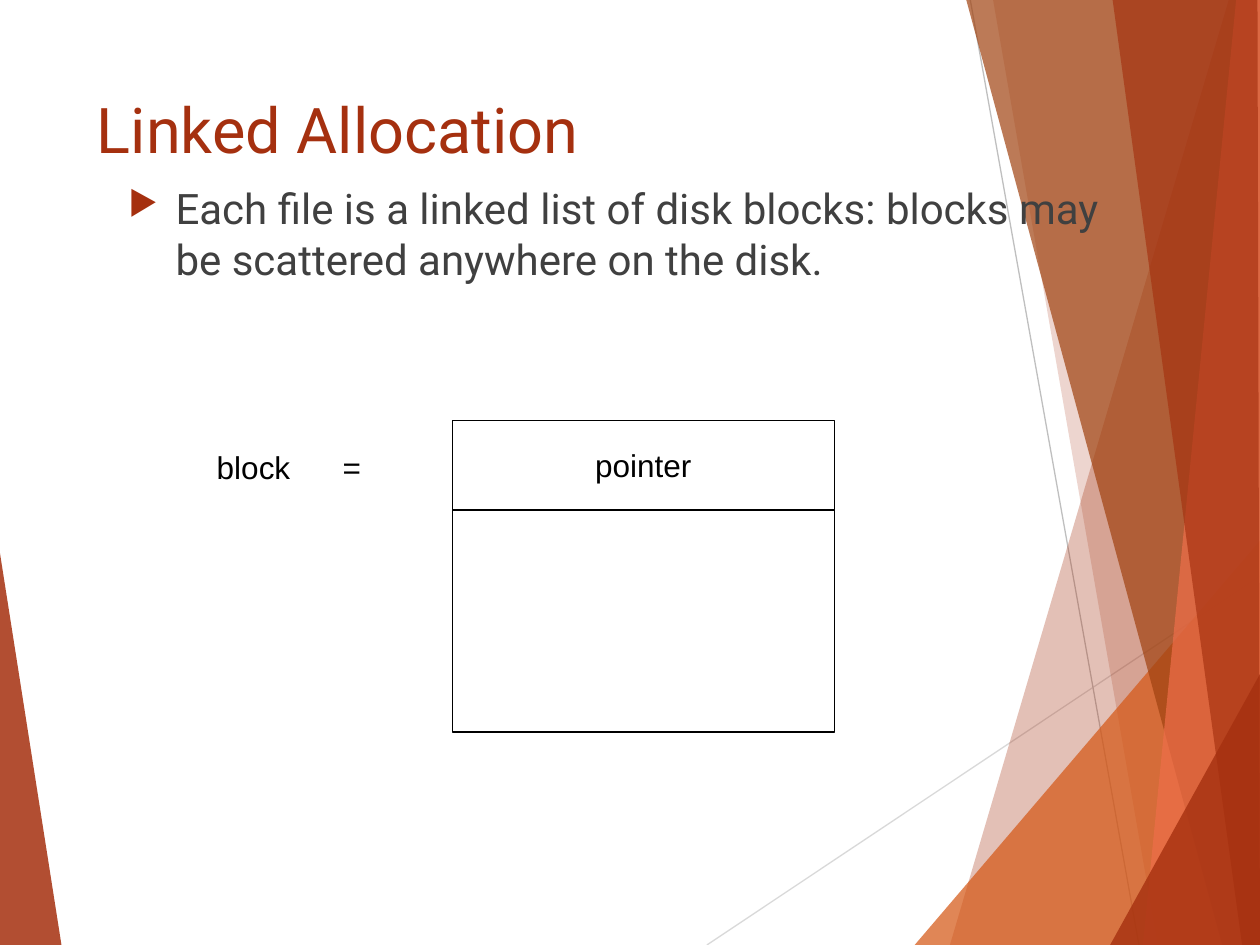
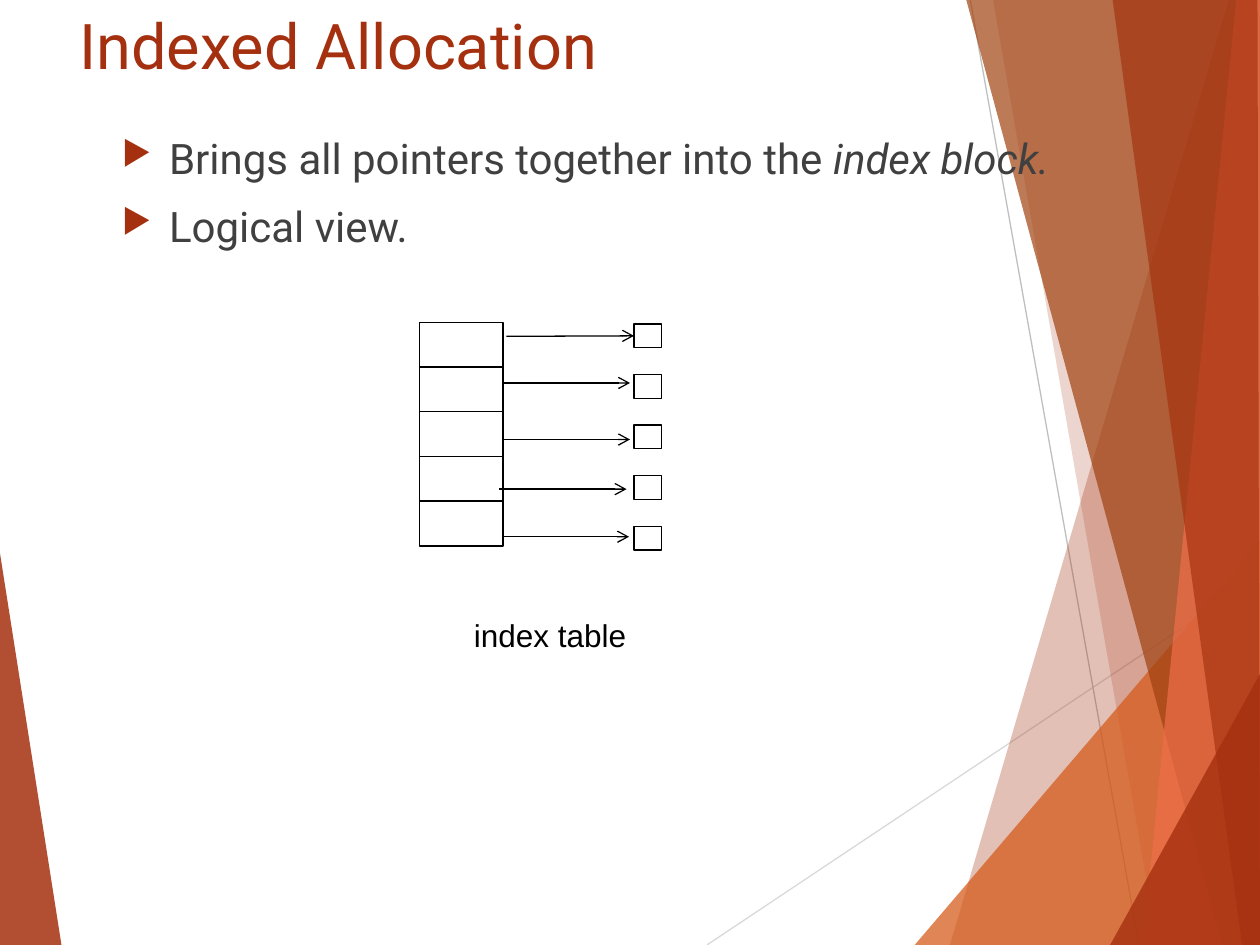
import dataclasses

import lxml.etree
import pptx
import pptx.dml.color
import pptx.enum.shapes
import pptx.enum.text
import pptx.oxml.ns
import pptx.util

Cm = pptx.util.Cm
Pt = pptx.util.Pt
qn = pptx.oxml.ns.qn
PP = pptx.enum.text.PP_ALIGN
ANCHOR = pptx.enum.text.MSO_ANCHOR


@dataclasses.dataclass(frozen=True)
class Theme:
    """Colours, fonts and sizes shared by the slides."""

    accent: str = "A5300F"
    orange: str = "D55816"
    brown: str = "A04210"
    coral: str = "EE6E4A"
    body: str = "404040"
    ink: str = "000000"
    paper: str = "FFFFFF"
    pale_line: str = "D9D9D9"
    grey_line: str = "BFBFBF"
    text_font: str = "Roboto"
    label_font: str = "Arial"
    title_size: int = 36
    body_size: int = 24
    label_size: int = 18
    line_width: float = 0.75


T = Theme()
W, H = 25.4, 19.05
FACETS = [
    (T.accent, 30, [(24.77, 0), (19.15, H), (W, H), (W, 0)]),
    (T.accent, 20, [(20.02, 0), (23.34, H), (W, H), (W, 0)]),
    (T.orange, 72, [(18.44, H), (W, 10.9), (W, H)]),
    (T.brown, 70, [(19.48, 0), (24.64, H), (W, H), (W, 0)]),
    (T.coral, 70, [(24.92, 0), (23.04, H), (W, H), (W, 0)]),
    (T.accent, 65, [(22.43, 0), (25.04, H), (W, H), (25.35, 0)]),
    (T.accent, 80, [(22.38, H), (W, 13.59), (W, H)]),
]


def rgb(value):
    """Return a colour object for a hex value."""
    return pptx.dml.color.RGBColor.from_string(value)


def child(parent, tag, **attrs):
    """Append an XML element with attributes."""
    return lxml.etree.SubElement(parent, qn(tag), attrs)


def add_run(p, text, font, size, color, italic=None):
    """Append one formatted run to a paragraph."""
    r = p.add_run()
    r.text = text
    r.font.name = font
    r.font.size = Pt(size)
    r.font.color.rgb = rgb(color)
    r.font.italic = italic


def add_facet(slide, color, alpha, points):
    """Draw a translucent polygon."""
    pts = [(Cm(x), Cm(y)) for x, y in points]
    fb = slide.shapes.build_freeform(*pts[0])
    fb.add_line_segments(pts[1:], close=True)
    sp = fb.convert_to_shape()
    sp.shadow.inherit = False
    sp.fill.solid()
    sp.fill.fore_color.rgb = rgb(color)
    child(sp.element.spPr.find(".//" + qn("a:srgbClr")), "a:alpha", val=str(alpha * 1000))
    sp.line.fill.background()
    return sp


def add_line(slide, x1, y1, x2, y2, color, arrow=False):
    """Draw a straight line, with an open arrowhead if asked."""
    sp = slide.shapes.add_connector(
        pptx.enum.shapes.MSO_CONNECTOR.STRAIGHT, Cm(x1), Cm(y1), Cm(x2), Cm(y2))
    sp.line.color.rgb = rgb(color)
    sp.line.width = Pt(T.line_width)
    spPr = sp.element.spPr
    if arrow:
        child(spPr.find(qn("a:ln")), "a:tailEnd", type="arrow")
    child(spPr, "a:effectLst")
    return sp


def add_rect(slide, x, y, w, h):
    """Draw a white rectangle with a thin black outline."""
    sp = slide.shapes.add_shape(
        pptx.enum.shapes.MSO_SHAPE.RECTANGLE, Cm(x), Cm(y), Cm(w), Cm(h))
    sp.shadow.inherit = False
    sp.fill.solid()
    sp.fill.fore_color.rgb = rgb(T.paper)
    sp.line.color.rgb = rgb(T.ink)
    sp.line.width = Pt(T.line_width)
    return sp


def write_label(sp, text, align=PP.CENTER):
    """Write a diagram label, centred vertically, and return its paragraph."""
    tf = sp.text_frame
    tf.word_wrap = True
    tf.vertical_anchor = ANCHOR.MIDDLE
    p = tf.paragraphs[0]
    p.alignment = align
    add_run(p, text, T.label_font, T.label_size, T.ink)
    return p


def add_label(slide, x, y, w, h, text, align=PP.CENTER):
    """Add a text box holding a diagram label."""
    sp = slide.shapes.add_textbox(Cm(x), Cm(y), Cm(w), Cm(h))
    return sp, write_label(sp, text, align)


def decorate_layout(slide, layout):
    """Build the faceted backdrop and move it to the shared layout."""
    parts = [
        add_facet(slide, T.accent, 85, [(0, 11.15), (1.24, H), (0, H)]),
        add_line(slide, 14.25, H, W, 11.61, T.pale_line),
        add_line(slide, 19.56, 0, 22.96, H, T.grey_line),
    ]
    parts += [add_facet(slide, *facet) for facet in FACETS]
    for i, sp in enumerate(parts):
        layout.shapes.element.insert(2 + i, sp.element)


def set_title(slide, box, text):
    """Place and format the title placeholder."""
    sp = slide.shapes.title
    sp.left, sp.top, sp.width, sp.height = map(Cm, box)
    tf = sp.text_frame
    tf.word_wrap = True
    tf.auto_size = pptx.enum.text.MSO_AUTO_SIZE.NONE
    tf.vertical_anchor = ANCHOR.TOP
    p = tf.paragraphs[0]
    p.alignment = PP.LEFT
    add_run(p, text, T.text_font, T.title_size, T.accent)


def add_bullets(slide, box, items):
    """Add bulleted paragraphs, each a list of (text, italic) runs."""
    tf = slide.shapes.add_textbox(*map(Cm, box)).text_frame
    tf.word_wrap = True
    for i, runs in enumerate(items):
        p = tf.add_paragraph() if i else tf.paragraphs[0]
        if i:
            p.space_before = Pt(10)
        pPr = p._p.get_or_add_pPr()
        pPr.set("marL", str(Cm(0.95)))
        pPr.set("indent", str(-Cm(0.95)))
        child(child(pPr, "a:buClr"), "a:srgbClr", val=T.accent)
        child(pPr, "a:buSzPct", val="80000")
        child(pPr, "a:buChar", char="▶")
        for text, italic in runs:
            add_run(p, text, T.text_font, T.body_size, T.body, italic)


def block_diagram(slide, x, y, w, h):
    """Draw a disk block with its pointer field and its caption."""
    block_x, block_w, pointer_h = x + 6.45, w - 6.45, 1.8
    write_label(add_rect(slide, block_x, y, block_w, pointer_h), "pointer")
    add_rect(slide, block_x, y + pointer_h, block_w, h - pointer_h)
    sp, p = add_label(slide, x, y + 0.15, 6.32, 1.55, "block\t=", PP.LEFT)
    sp.text_frame.margin_left = Cm(1.7)
    tabs = child(p._p.get_or_add_pPr(), "a:tabLst")
    child(tabs, "a:tab", pos=str(Cm(2.54)), algn="l")


def index_diagram(slide, x, y):
    """Draw the index table with arrows to its data blocks."""
    starts = [(1.75, 0.28), (1.67, 1.22), (1.67, 2.36), (1.6, 3.36), (1.65, 4.32)]
    for i in range(len(starts)):
        add_rect(slide, x, y + 0.9 * i, 1.68, 0.91)
    blocks = [add_rect(slide, x + 4.32, y + 0.03 + 1.02 * i, 0.56, 0.48)
              for i in range(len(starts))]
    arrows = [add_line(slide, x + dx, y + dy, x + dx + 2.57, y + dy, T.ink, arrow=True)
              for dx, dy in starts]
    arrows[0].end_connect(blocks[0], 1)
    add_label(slide, x + 0.84, y + 5.79, 3.58, 1.02, "index table")


def linked_slide(slide):
    """Fill the linked allocation slide."""
    set_title(slide, (1.7, 1.7, 17.63, 3.66), "Linked Allocation")
    add_bullets(slide, (2.34, 3.56, 20.42, 2.06), [
        [("Each file is a linked list of disk blocks: blocks may be "
          "scattered anywhere on the disk.", None)],
    ])
    block_diagram(slide, 2.67, 8.48, 14.15, 6.28)


def indexed_slide(slide):
    """Fill the indexed allocation slide."""
    set_title(slide, (1.35, 0, 20.75, 3.18), "Indexed Allocation")
    add_bullets(slide, (2.21, 2.54, 20.42, 2.59), [
        [("Brings all pointers together into the ", None), ("index block.", True)],
        [("Logical view.", None)],
    ])
    index_diagram(slide, 8.46, 6.5)


def main():
    """Build and save the presentation."""
    prs = pptx.Presentation()
    prs.slide_width, prs.slide_height = Cm(W), Cm(H)
    layout = prs.slide_layouts[5]
    slides = [prs.slides.add_slide(layout) for _ in range(2)]
    decorate_layout(slides[0], layout)
    linked_slide(slides[0])
    indexed_slide(slides[1])
    prs.save("out.pptx")


if __name__ == "__main__":
    main()
